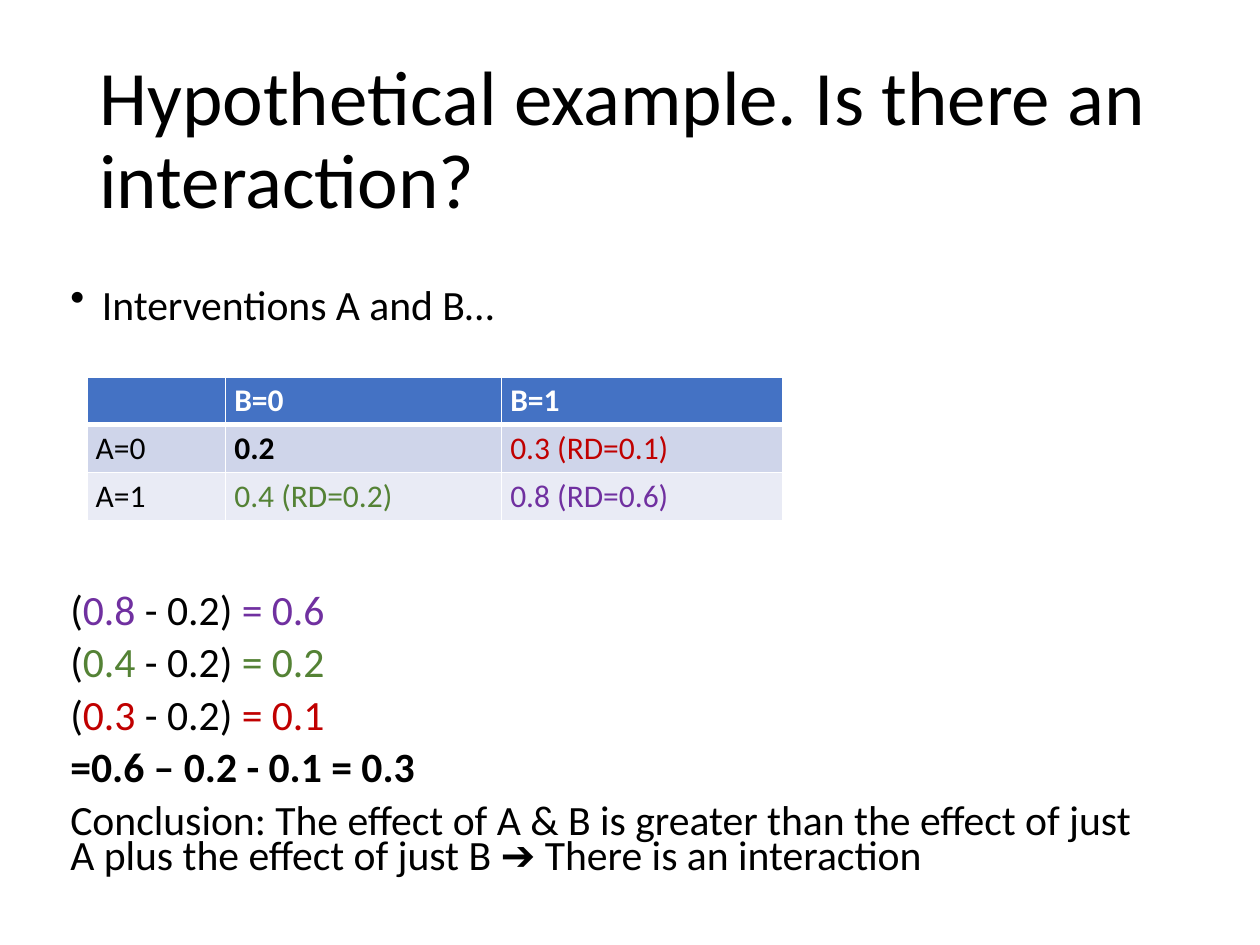
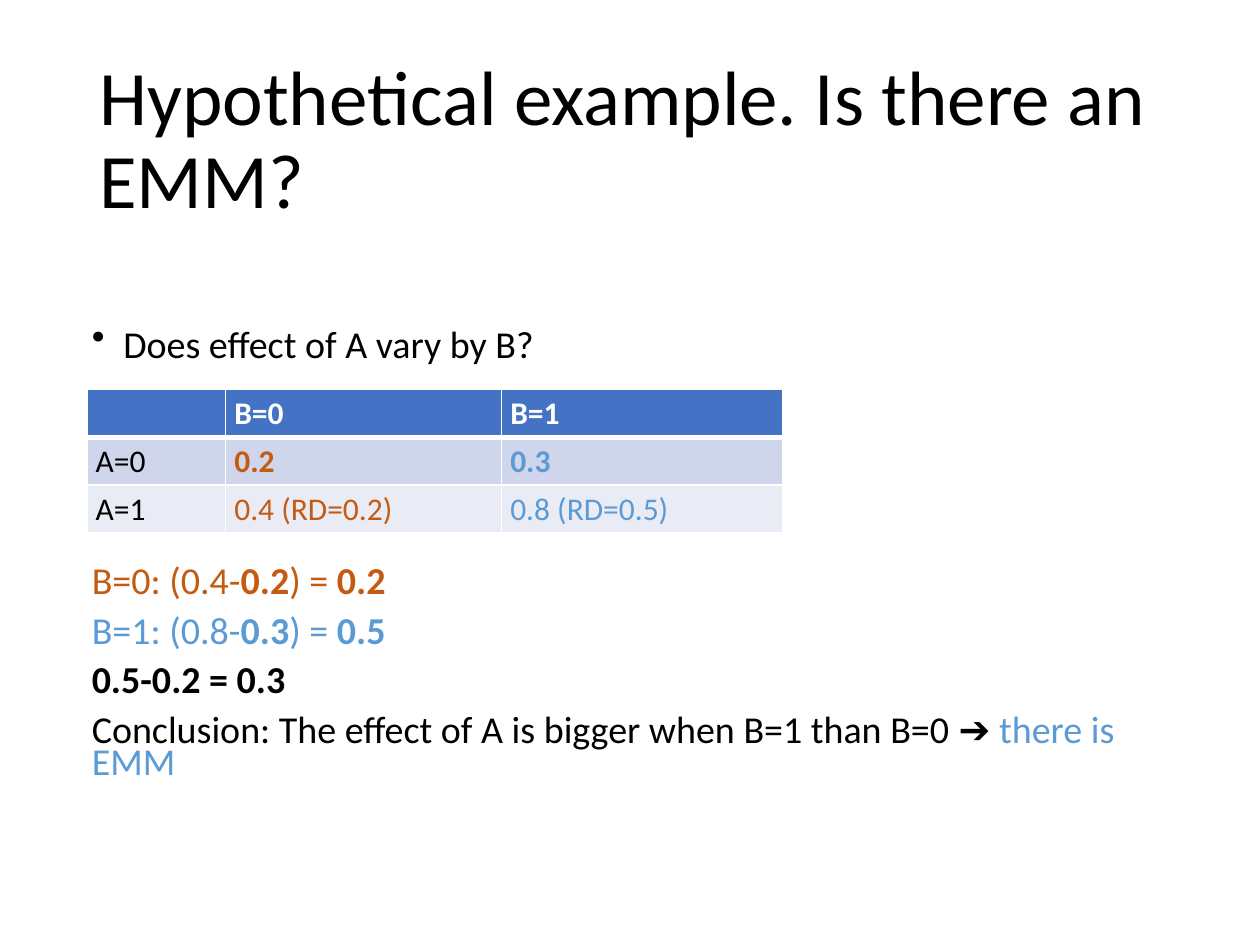
"""Build two slides that test a worked example for interaction and for EMM."""
from dataclasses import dataclass

from pptx import Presentation
from pptx.dml.color import RGBColor
from pptx.enum.text import MSO_ANCHOR
from pptx.oxml.xmlchemy import OxmlElement
from pptx.util import Inches, Pt


@dataclass(frozen=True)
class Theme:
    font: str = "Calibri"
    title: float = 44
    cell: float = 18
    first: float = 23.8
    second: float = 21.7
    black: str = "000000"
    white: str = "FFFFFF"
    purple: str = "7030A0"
    green: str = "548235"
    red: str = "C00000"
    orange: str = "C55A11"
    sky: str = "5B9BD5"
    rows: tuple = ("4472C4", "CFD5EA", "E9EBF5")


THEME = Theme()


def add_run(para, size, text, color=THEME.black, bold=False):
    run = para.add_run()
    run.text = text
    font = run.font
    font.name, font.size, font.bold = THEME.font, Pt(size), bold
    font.color.rgb = RGBColor.from_string(color)


def add_box(slide, left, top, width, height):
    box = slide.shapes.add_textbox(Inches(left), Inches(top), Inches(width), Inches(height))
    box.text_frame.word_wrap = True
    return box.text_frame


def add_title(slide, text):
    frame = add_box(slide, 0.69, 0.4, 8.62, 1.45)
    frame.vertical_anchor = MSO_ANCHOR.MIDDLE
    para = frame.paragraphs[0]
    para.line_spacing = 0.9
    add_run(para, THEME.title, text)


def add_lines(slide, left, top, height, size, lines):
    frame = add_box(slide, left, top, 8.62, height)
    for i, line in enumerate(lines):
        para = frame.add_paragraph() if i else frame.paragraphs[0]
        para.line_spacing = 0.7
        para.space_before = Pt(10)
        for part in line:
            add_run(para, size, *part)
    return frame


def add_bullet(slide, left, top, size, text):
    frame = add_lines(slide, left, top, 0.5, size, [[(text,)]])
    props = frame.paragraphs[0]._p.get_or_add_pPr()
    props.set("marL", str(Inches(0.25)))
    props.set("indent", str(Inches(-0.25)))
    mark = OxmlElement("a:buChar")
    mark.set("char", "•")
    props.append(mark)


def add_edges(cell, row):
    widths = {"L": 1, "R": 1, "T": 3 if row == 1 else 1, "B": 3 if row == 0 else 1}
    props = cell._tc.get_or_add_tcPr()
    for i, (side, width) in enumerate(widths.items()):
        edge = OxmlElement(f"a:ln{side}")
        edge.set("w", str(Pt(width)))
        fill = OxmlElement("a:solidFill")
        color = OxmlElement("a:srgbClr")
        color.set("val", THEME.white)
        fill.append(color)
        edge.append(fill)
        props.insert(i, edge)


def add_grid(slide, top, risks):
    head = [None, ("B=0", THEME.white, True), ("B=1", THEME.white, True)]
    rows = [head] + [[(f"A={i}",), *risk] for i, risk in enumerate(risks)]
    table = slide.shapes.add_table(
        3, 3, Inches(0.69), Inches(top), Inches(5.52), Inches(1.12)).table
    for col, width in zip(table.columns, (1.1, 2.19, 2.23)):
        col.width = Inches(width)
    for r, row in enumerate(rows):
        for c, part in enumerate(row):
            cell = table.cell(r, c)
            cell.margin_left = cell.margin_right = Inches(0.07)
            cell.margin_top = cell.margin_bottom = Inches(0.04)
            cell.fill.solid()
            cell.fill.fore_color.rgb = RGBColor.from_string(THEME.rows[r])
            add_edges(cell, r)
            if part:
                add_run(cell.text_frame.paragraphs[0], THEME.cell, *part)


def risk_line(risk, diff, color):
    return [("(",), (f"{risk} ", color), ("- 0.2)",), (f" = {diff}", color)]


def group_line(group, risk, base, diff, color):
    return [(f"{group}: ({risk}-", color), (base, color, True),
            (") = ", color), (diff, color, True)]


def add_joint(slide):
    add_title(slide, "Hypothetical example. Is there an interaction?")
    add_bullet(slide, 0.46, 2.27, THEME.first, "Interventions A and B…")
    add_lines(slide, 0.46, 4.69, 2.46, THEME.first, [
        risk_line("0.8", "0.6", THEME.purple),
        risk_line("0.4", "0.2", THEME.green),
        risk_line("0.3", "0.1", THEME.red),
        [("=0.6 – 0.2 - 0.1 = 0.3", THEME.black, True)],
        [("Conclusion: The effect of A & B is greater than the effect of just A "
          "plus the effect of just B ➔ There is an interaction",)],
    ])
    add_grid(slide, 2.99, [
        [("0.2", THEME.black, True), ("0.3 (RD=0.1)", THEME.red)],
        [("0.4 (RD=0.2)", THEME.green), ("0.8 (RD=0.6)", THEME.purple)],
    ])


def add_split(slide):
    add_title(slide, "Hypothetical example. Is there an EMM?")
    add_bullet(slide, 0.63, 2.59, THEME.second, "Does effect of A vary by B?")
    add_lines(slide, 0.63, 4.47, 1.92, THEME.second, [
        group_line("B=0", "0.4", "0.2", "0.2", THEME.orange),
        group_line("B=1", "0.8", "0.3", "0.5", THEME.sky),
        [("0.5-0.2 = 0.3", THEME.black, True)],
        [("Conclusion: The effect of A is bigger when B=1 than B=0 ➔ ",),
         ("there is EMM", THEME.sky)],
    ])
    add_grid(slide, 3.09, [
        [("0.2", THEME.orange, True), ("0.3", THEME.sky, True)],
        [("0.4 (RD=0.2)", THEME.orange), ("0.8 (RD=0.5)", THEME.sky)],
    ])


def main():
    deck = Presentation()
    deck.slide_width, deck.slide_height = Inches(10), Inches(7.5)
    for build in (add_joint, add_split):
        build(deck.slides.add_slide(deck.slide_layouts[6]))
    deck.save("out.pptx")


if __name__ == "__main__":
    main()
